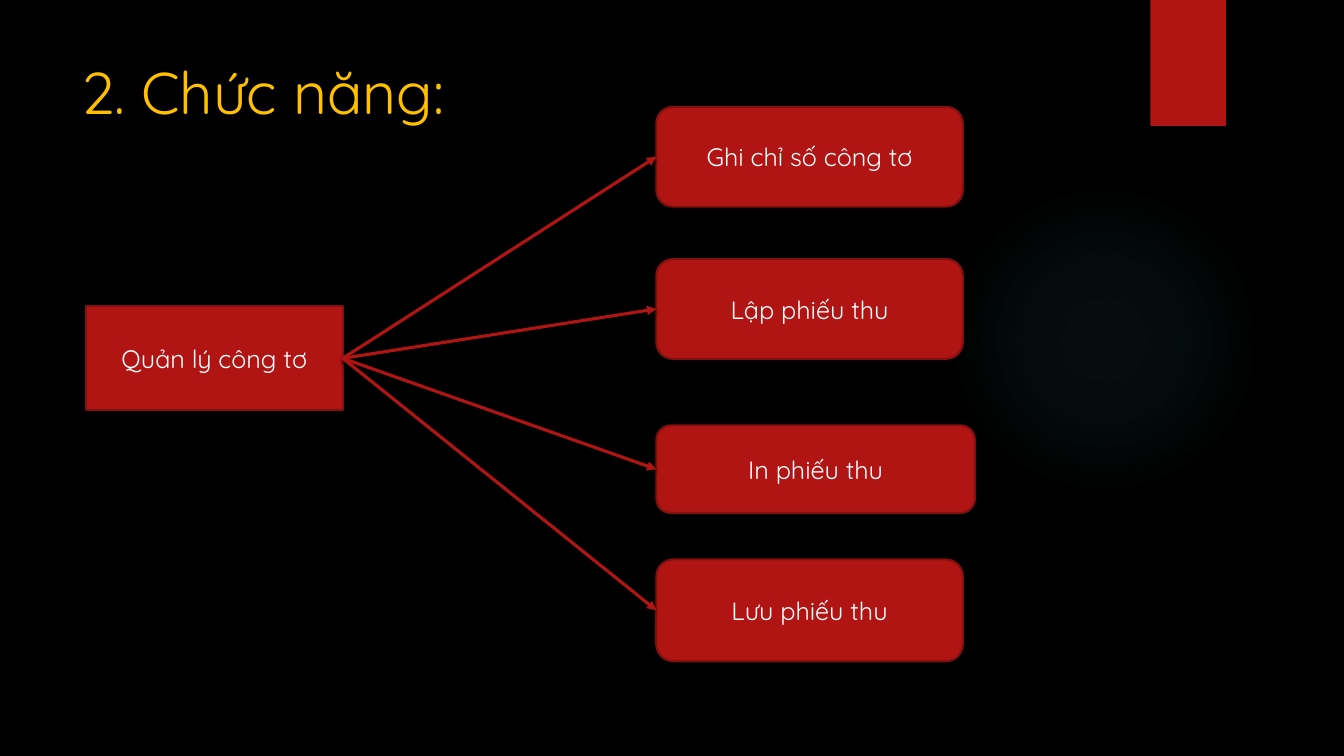
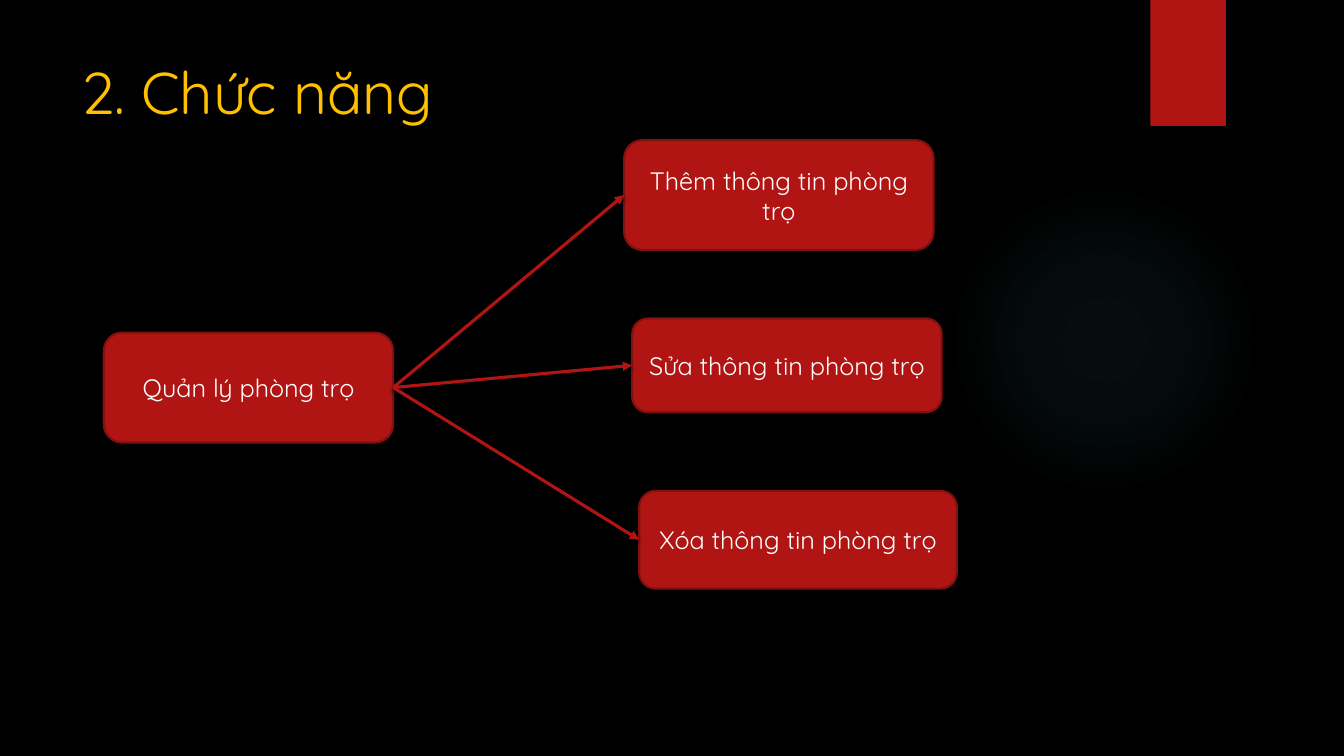
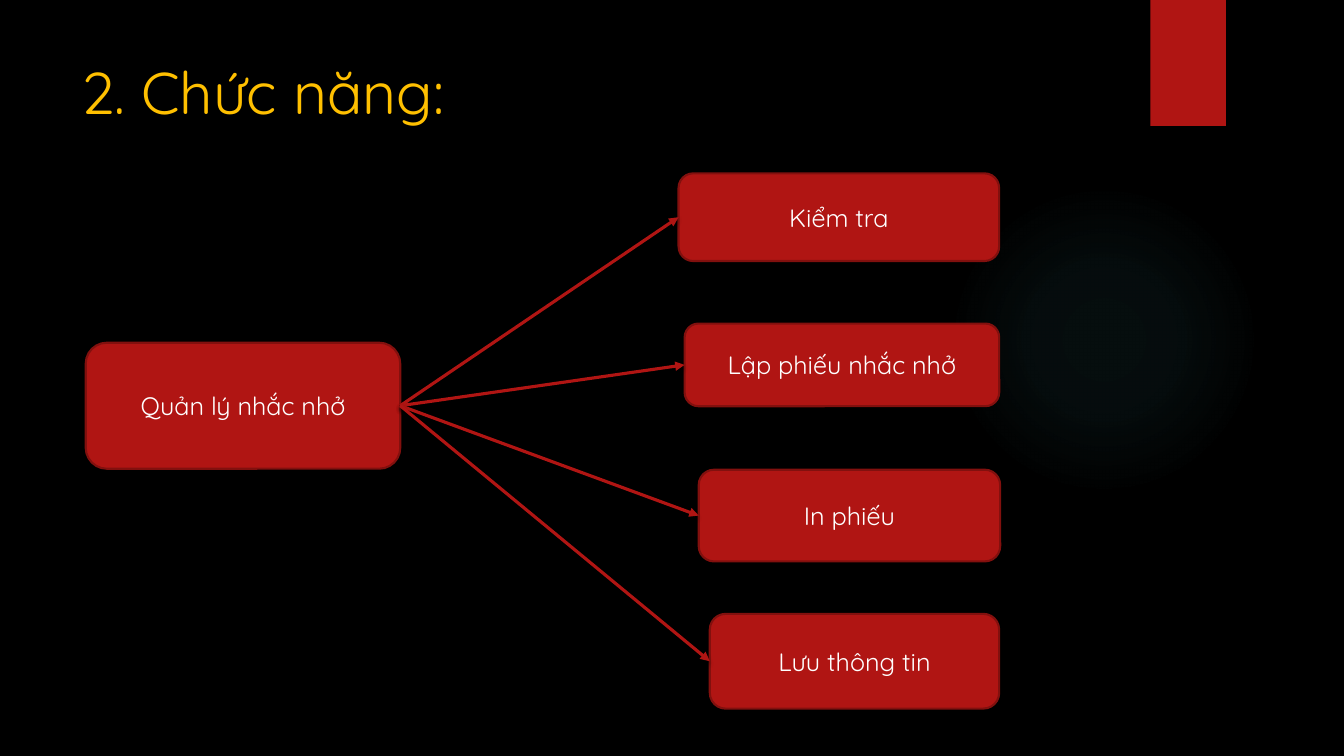
from lxml import etree
from pptx import Presentation, util as u
from pptx.dml.color import RGBColor
from pptx.enum import shapes, text
from pptx.oxml import ns

COLORS = {
    "background": "000000",
    "title": "FFC000",
    "red": "B01513",
    "outline": "82100E",
    "text": "FFFFFF",
    "glow": "50B9C1",
    "shadow": "000000",
}
FONT = "Quicksand"
RECT = shapes.MSO_SHAPE.RECTANGLE
ROUND = shapes.MSO_SHAPE.ROUNDED_RECTANGLE
OVAL = shapes.MSO_SHAPE.OVAL
TOP, LEFT, BOTTOM, RIGHT = range(4)  # connection sites

# The slide is a grid of fine columns and rows; every length counts cells.
WIDTH, HEIGHT = u.Inches(13.33), u.Inches(7.5)
COLS, ROWS = 1333, 750

# Each box is (label, left, top, width, height), counted from the origin.
SLIDES = [
    dict(title="2. Chức năng:", origin=(85, 106), root_shape=RECT,
         root=("Quản lý công tơ", 0, 198, 255, 103),
         children=[("Ghi chỉ số công tơ", 566, 0, 304, 99),
                   ("Lập phiếu thu", 566, 151, 304, 99),
                   ("In phiếu thu", 566, 316, 316, 87),
                   ("Lưu phiếu thu", 566, 449, 304, 101)]),
    dict(title="2. Chức năng", origin=(103, 139), root_shape=ROUND,
         root=("Quản lý phòng trọ", 0, 191, 287, 109),
         children=[("Thêm thông tin phòng trọ", 516, 0, 307, 109),
                   ("Sửa thông tin phòng trọ", 524, 177, 307, 93),
                   ("Xóa thông tin phòng trọ", 531, 348, 315, 97)]),
    dict(title="2. Chức năng:", origin=(85, 172), root_shape=ROUND,
         root=("Quản lý nhắc nhở", 0, 168, 312, 125),
         children=[("Kiểm tra", 588, 0, 318, 87),
                   ("Lập phiếu nhắc nhở", 594, 149, 312, 82),
                   ("In phiếu", 608, 294, 299, 91),
                   ("Lưu thông tin", 619, 437, 287, 94)]),
]


def rgb(name):
    return RGBColor.from_string(COLORS[name])


def cells(left, top, width, height):
    """Turn grid cells into lengths on the slide."""
    return (int(left * WIDTH / COLS), int(top * HEIGHT / ROWS),
            int(width * WIDTH / COLS), int(height * HEIGHT / ROWS))


def add_xml(parent, tag, **attrs):
    return etree.SubElement(parent, ns.qn(tag), {k: str(v) for k, v in attrs.items()})


def add_color(parent, name, alpha):
    clr = add_xml(parent, "a:srgbClr", val=COLORS[name])
    add_xml(clr, "a:alpha", val=alpha * 1000)


def add_shadow(effects):
    shadow = add_xml(effects, "a:outerShdw", blurRad=u.Pt(3), dist=u.Pt(2),
                     dir=90 * 60000, rotWithShape=0)
    add_color(shadow, "shadow", 45)


def style_text(tf, label, size, color, align):
    tf.word_wrap = True
    p = tf.paragraphs[0]
    p.text = label
    p.alignment = align
    r = p.runs[0]
    r.font.size, r.font.name = u.Pt(size), FONT
    r.font.color.rgb = rgb(color)


def add_plain(slide, kind, box):
    sp = slide.shapes.add_shape(kind, *cells(*box))
    sp.shadow.inherit = False
    sp.fill.solid()
    sp.fill.fore_color.rgb = rgb("red")
    sp.line.fill.background()
    return sp


def add_glow(slide, box):
    sp = add_plain(slide, OVAL, box)
    grad = etree.Element(ns.qn("a:gradFill"), rotWithShape="1")
    stops = add_xml(grad, "a:gsLst")
    for pos, alpha in [(0, 7), (36, 6), (69, 0)]:
        add_color(add_xml(stops, "a:gs", pos=pos * 1000), "glow", alpha)
    circle = add_xml(grad, "a:path", path="circle")
    add_xml(circle, "a:fillToRect", l=50000, t=50000, r=50000, b=50000)
    solid = sp.element.spPr.find(ns.qn("a:solidFill"))
    solid.getparent().replace(solid, grad)


def add_ribbon(slide, box):
    sp = add_plain(slide, RECT, box)
    add_shadow(sp.element.spPr.find(ns.qn("a:effectLst")))


def add_title(slide, label, box):
    tb = slide.shapes.add_textbox(*cells(*box))
    style_text(tb.text_frame, label, 42, "title", text.PP_ALIGN.LEFT)


def add_box(slide, kind, label, box):
    sp = add_plain(slide, kind, box)
    sp.line.color.rgb = rgb("outline")
    sp.line.width = u.Pt(1.5)
    sp.text_frame.vertical_anchor = text.MSO_ANCHOR.MIDDLE
    style_text(sp.text_frame, label, 18, "text", text.PP_ALIGN.CENTER)
    return sp


def add_arrow(slide, start, end):
    line = slide.shapes.add_connector(shapes.MSO_CONNECTOR.STRAIGHT, 0, 0, 0, 0)
    line.begin_connect(start, RIGHT)
    line.end_connect(end, LEFT)
    line.line.color.rgb = rgb("red")
    line.line.width = u.Pt(2.25)
    props = line.element.spPr
    add_xml(props.find(ns.qn("a:ln")), "a:tailEnd", type="triangle")
    add_shadow(add_xml(props, "a:effectLst"))


def add_function_tree(slide, origin, root_shape, root, children):
    """One root box on the left, with an arrow to each child box."""
    def place(kind, label, left, top, width, height):
        return add_box(slide, kind, label,
                       (origin[0] + left, origin[1] + top, width, height))

    parent = place(root_shape, *root)
    targets = [place(ROUND, *child) for child in children]
    for target in targets:
        add_arrow(slide, parent, target)


def add_function_slide(prs, title, **tree):
    slide = prs.slides.add_slide(prs.slide_layouts[6])
    # Shared decoration and title
    add_glow(slide, (941, 183, 308, 308))
    add_ribbon(slide, (1141, 0, 75, 125))
    add_title(slide, title, (71, 50, 1029, 153))
    # Diagram
    add_function_tree(slide, **tree)


def main():
    prs = Presentation()
    prs.slide_width, prs.slide_height = WIDTH, HEIGHT
    fill = prs.slide_master.background.fill
    fill.solid()
    fill.fore_color.rgb = rgb("background")
    for content in SLIDES:
        add_function_slide(prs, **content)
    prs.save("out.pptx")


if __name__ == "__main__":
    main()
